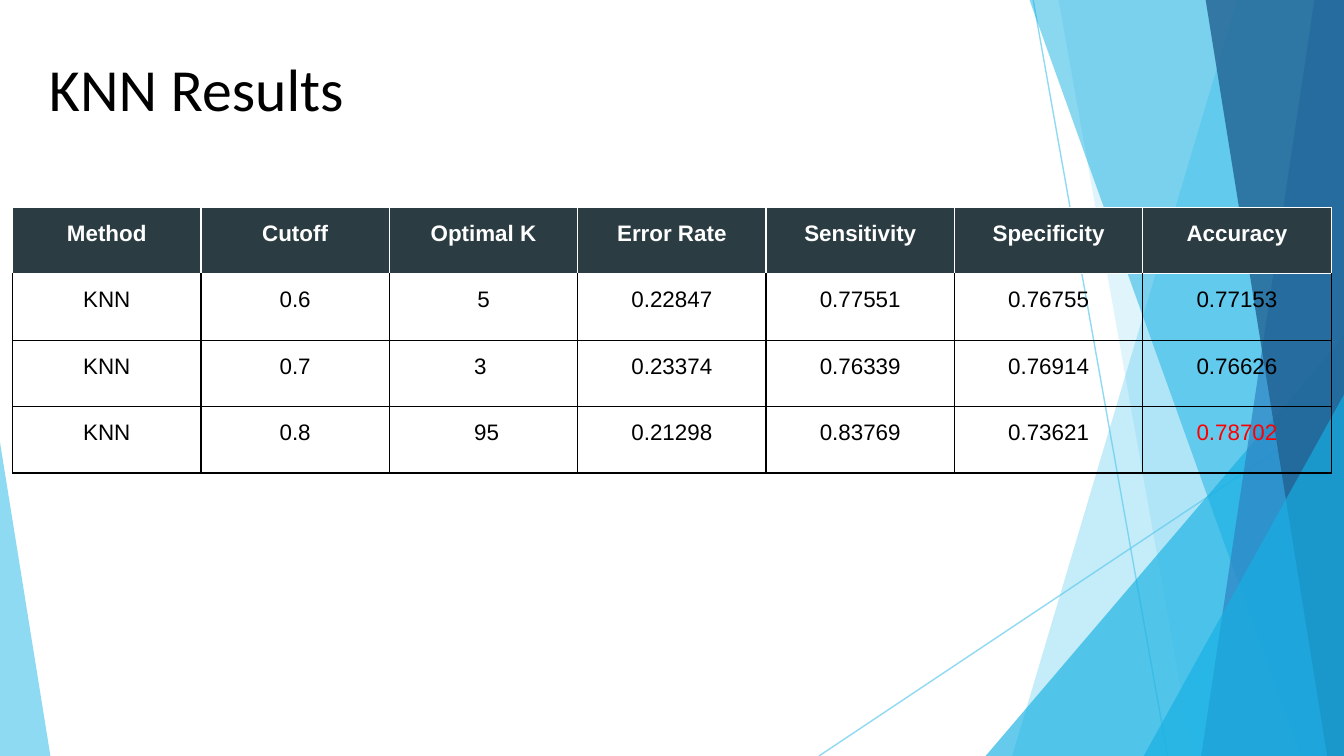
from lxml import etree
from pptx import Presentation
from pptx.dml.color import RGBColor
from pptx.enum.shapes import MSO_CONNECTOR, MSO_SHAPE
from pptx.enum.text import MSO_ANCHOR, PP_ALIGN
from pptx.oxml.ns import qn
from pptx.util import Pt

PX = 9525  # 96 px to the inch
WIDE, HIGH = 960, 540


def paint(fmt, color, alpha=100):
    """Give a fill or line format a solid colour with alpha in percent."""
    fill = getattr(fmt, "fill", fmt)
    fill.solid()
    fill.fore_color.rgb = RGBColor.from_string(color)
    if alpha < 100:
        node = fill._xPr.find(qn("a:solidFill"))[0]
        etree.SubElement(node, qn("a:alpha"), val=str(alpha * 1000))


def write(frame, text, size=12, font="Arial", color="000000", bold=False,
          align=PP_ALIGN.CENTER):
    frame.word_wrap = True
    para = frame.paragraphs[0]
    para.alignment = align
    run = para.add_run()
    run.text = text
    run.font.size, run.font.name, run.font.bold = Pt(size), font, bold
    paint(run.font, color)


prs = Presentation()
prs.slide_width, prs.slide_height = WIDE * PX, HIGH * PX
slide = prs.slides.add_slide(prs.slide_layouts[6])
shapes = slide.shapes

# Thin rays
for ends in [(738, 0, 834, HIGH), (WIDE, 290, 585, HIGH)]:
    ray = shapes.add_connector(MSO_CONNECTOR.STRAIGHT, *[n * PX for n in ends])
    paint(ray.line, "5FCBEF", 70)
    ray.line.width = Pt(0.75)
    etree.SubElement(ray._element.spPr, qn("a:effectLst"))

# Facets: a band has top and bottom x of its left edge and runs to the right
# side; a triangle has left, top, width, height and the place of its tip
facets = [
    ("band", (884, 723), "5FCBEF", 36),
    ("band", (756, 852), "5FCBEF", 20),
    ("triangle", (704, 240, 256, 300, 1), "16B0E3", 66),
    ("band", (735, 929), "16B0E3", 50),
    ("band", (939, 858), "2E83C3", 70),
    ("band", (861, 948), "226292", 80),
    ("triangle", (817, 282, 143, 258, 1), "16B0E3", 66),
    ("triangle", (0, 316, 36, 224, 0), "5FCBEF", 70),
]
for kind, spot, color, alpha in facets:
    if kind == "band":
        top, low = spot
        pen = shapes.build_freeform(top, -1, scale=PX)
        pen.add_line_segments([(WIDE, -1), (WIDE, HIGH), (low, HIGH)], close=True)
        facet = pen.convert_to_shape()
    else:
        *box, tip = spot
        facet = shapes.add_shape(MSO_SHAPE.ISOSCELES_TRIANGLE, *[n * PX for n in box])
        facet.adjustments[0] = tip
    paint(facet.fill, color, alpha)
    facet.line.fill.background()
    facet.shadow.inherit = False

# Title
title = shapes.add_textbox(25 * PX, 27 * PX, 870 * PX, 60 * PX).text_frame
title.margin_left = title.margin_right = 10 * PX
title.margin_top = title.margin_bottom = 10 * PX
title.vertical_anchor = MSO_ANCHOR.TOP
write(title, "KNN Results", size=32, font="Calibri", align=PP_ALIGN.LEFT)

# Results table
rows = [
    ["Method", "Cutoff", "Optimal K", "Error Rate", "Sensitivity", "Specificity", "Accuracy"],
    ["KNN", "0.6", "5", "0.22847", "0.77551", "0.76755", "0.77153"],
    ["KNN", "0.7", "3 ", "0.23374", "0.76339", "0.76914", "0.76626"],
    ["KNN", "0.8", " 95", "0.21298", "0.83769", "0.73621", "0.78702"],
]
best = "0.78702"
table = shapes.add_table(len(rows), len(rows[0]), 9 * PX, 148 * PX,
                         942 * PX, 190 * PX).table
table.horz_banding = False
for r, row in enumerate(rows):
    head = r == 0
    for c, text in enumerate(row):
        cell = table.cell(r, c)
        cell.margin_left = cell.margin_right = 10 * PX
        cell.margin_top = cell.margin_bottom = 10 * PX
        ink = "FFFFFF" if head else "FF0000" if text == best else "000000"
        write(cell.text_frame, text, color=ink, bold=head)
        props = cell._tc.get_or_add_tcPr()
        for side in ("lnL", "lnR", "lnT", "lnB"):
            white = head or (r == 1 and side == "lnT")
            edge = etree.SubElement(props, qn("a:" + side), w=str(Pt(0.75)))
            solid = etree.SubElement(edge, qn("a:solidFill"))
            etree.SubElement(solid, qn("a:srgbClr"), val="FFFFFF" if white else "000000")
        if head:
            paint(cell.fill, "2C3C43")
        else:
            cell.fill.background()

prs.save("out.pptx")
